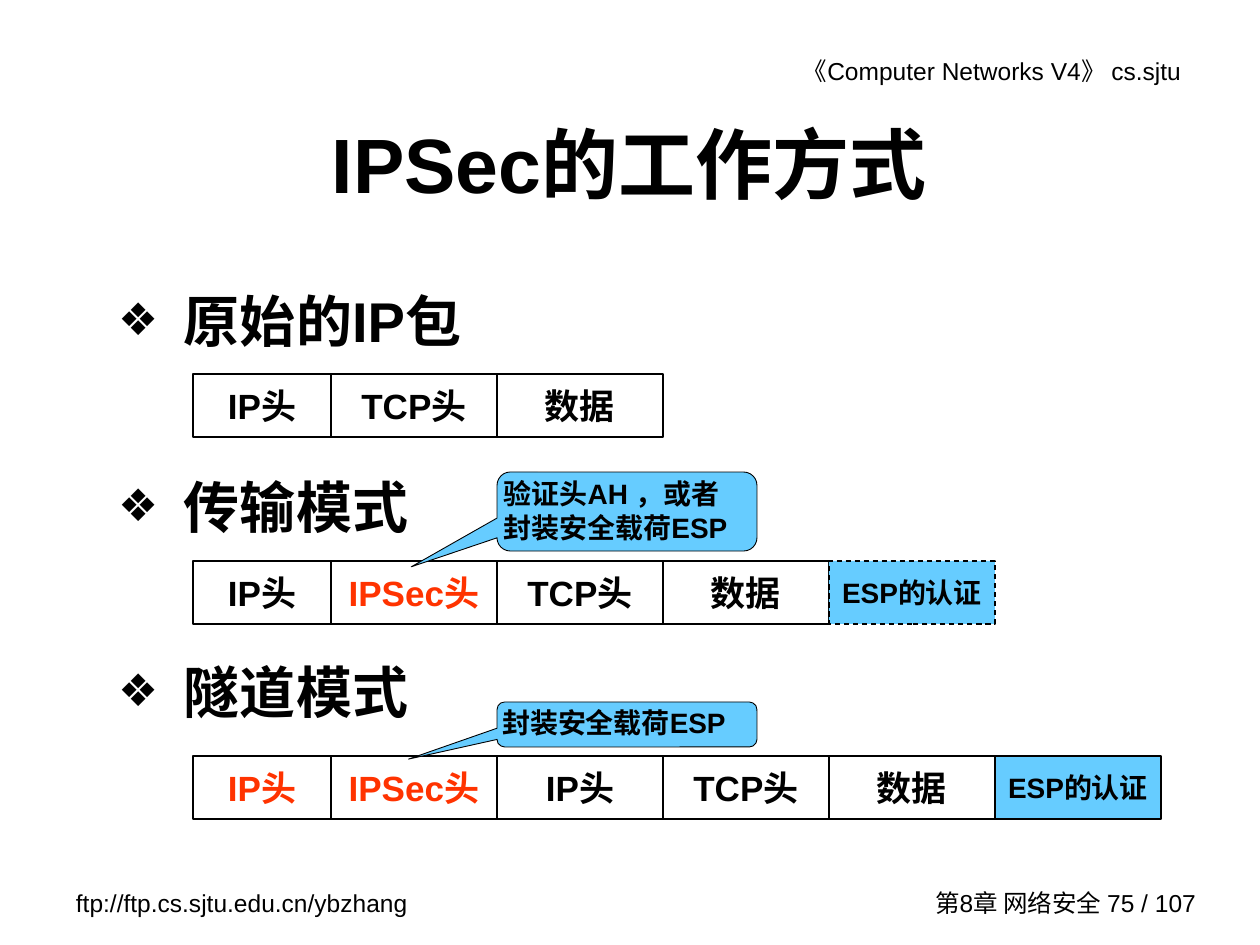
"""Build the slide on the working modes of IPSec."""
from pptx import Presentation
from pptx.dml.color import RGBColor
from pptx.enum.dml import MSO_LINE
from pptx.enum.shapes import MSO_SHAPE
from pptx.enum.text import MSO_ANCHOR, MSO_AUTO_SIZE, PP_ALIGN
from pptx.oxml import parse_xml
from pptx.oxml.ns import nsdecls
from pptx.util import Pt

SCALE = 914400 / 126
RECT, CALL = MSO_SHAPE.RECTANGLE, MSO_SHAPE.ROUNDED_RECTANGULAR_CALLOUT
DASH = MSO_LINE.DASH
TOP, MID = MSO_ANCHOR.TOP, MSO_ANCHOR.MIDDLE
LEFT, MIDST, RIGHT = PP_ALIGN.LEFT, PP_ALIGN.CENTER, PP_ALIGN.RIGHT
NONE = MSO_AUTO_SIZE.NONE
HUES = {"ink": "000000", "red": "FF3300", "sky": "66CCFF"}
EDGES = (193, 331, 497, 663, 829, 995, 1161)
HIGH = 63
ESP = "ESP的认证"
ROWS = (
    (374, ("IP头", "TCP头", "数据"), (), None),
    (561, ("IP头", "IPSec头", "TCP头", "数据", ESP), (1,), DASH),
    (756, ("IP头", "IPSec头", "IP头", "TCP头", "数据", ESP), (0, 1), None),
)
CALLS = (
    ((497, 472, 260, 79), (-0.83, 0.7, 0.17), ("验证头AH ，或者", "封装安全载荷ESP")),
    ((497, 702, 260, 45), (-0.84, 0.77, 0.17), ("封装安全载荷ESP",)),
)
NOTES = (
    ((658, 50, 549, 43), "《Computer Networks V4》 cs.sjtu", RIGHT, TOP, 26),
    ((63, 882, 368, 43), "ftp://ftp.cs.sjtu.edu.cn/ybzhang", LEFT, TOP, 13),
    ((905, 882, 304, 42), "第8章 网络安全 75 / 107", RIGHT, MID, 13),
)
MODES = ("原始的IP包", "传输模式", "隧道模式")
BULLET = (
    '<a:buClr {0}><a:srgbClr val="{1}"/></a:buClr>',
    '<a:buSzPct {0} val="80000"/>',
    '<a:buChar {0} char="❖"/>',
)


def px(num):
    """Turn px into EMU."""
    return round(num * SCALE)


def put(item, vals):
    """Set each value on the item."""
    for name, val in vals.items():
        setattr(item, name, val)


def tint(name):
    """Give the colour of a name."""
    return RGBColor.from_string(HUES[name])


def place(shape, box):
    """Move and size a shape."""
    put(shape, dict(zip(("left", "top", "width", "height"), map(px, box))))


def write(shape, lines, size, bold=True, hue="ink", align=MIDST,
          anchor=MID, pads=(13, 6, 13, 6)):
    """Fill a shape with formatted lines of text."""
    frame = shape.text_frame
    names = ("margin_left", "margin_top", "margin_right", "margin_bottom")
    put(frame, dict(zip(names, map(px, pads))))
    put(frame, {"word_wrap": True, "auto_size": NONE,
                "vertical_anchor": anchor, "text": "\n".join(lines)})
    for para in frame.paragraphs:
        para.alignment = align
        for run in para.runs:
            put(run.font, {"name": "Arial", "size": Pt(size), "bold": bold})
            run.font.color.rgb = tint(hue)


def draw(slide, kind, box, fill=None, width=0.75, dash=None):
    """Add an outlined shape."""
    shape = slide.shapes.add_shape(kind, *map(px, box))
    shape.shadow.inherit = False
    if fill:
        shape.fill.solid()
        shape.fill.fore_color.rgb = tint(fill)
    else:
        shape.fill.background()
    shape.line.color.rgb = tint("ink")
    put(shape.line, {"width": Pt(width), "dash_style": dash})
    return shape


def packet(slide, top, cells, marks, dash):
    """Draw one packet as a row of cells."""
    for col, text in enumerate(cells):
        left, tail = EDGES[col], text == ESP
        shape = draw(slide, RECT, (left, top, EDGES[col + 1] - left, HIGH),
                     "sky" if tail else None, dash=dash if tail else None)
        side = 3 if tail else 13
        write(shape, [text], 16 if tail else 20,
              hue="red" if col in marks else "ink", pads=(side, 6, side, 6))


def callout(slide, box, bends, lines):
    """Draw a callout with its tip."""
    shape = draw(slide, CALL, box, "sky", 0.5)
    for num, bend in enumerate(bends):
        shape.adjustments[num] = bend
    write(shape, lines, 16, align=LEFT, anchor=TOP, pads=(3, 1, 3, 1))


def note(slide, box, text, align, anchor, side):
    """Add a line at the edge of the slide."""
    shape = slide.shapes.add_textbox(*map(px, box))
    write(shape, [text], 14, False, align=align, anchor=anchor,
          pads=(13, 6, side, 6))


def modes(shape):
    """Fill the body with the list of modes."""
    place(shape, (105, 267, 436, 504))
    write(shape, MODES, 32, align=LEFT, anchor=TOP)
    for num, para in enumerate(shape.text_frame.paragraphs):
        props = para._p.get_or_add_pPr()
        put(para, {"line_spacing": 1.2, "space_before": Pt(60 if num else 0)})
        props.set("marL", str(px(66)))
        props.set("indent", str(px(-66)))
        for form in BULLET:
            props.append(parse_xml(form.format(nsdecls("a"), HUES["ink"])))


def main():
    """Build and save the slide."""
    deck = Presentation()
    put(deck, {"slide_width": px(1260), "slide_height": px(945)})
    slide = deck.slides.add_slide(deck.slide_layouts[1])
    title, body = slide.placeholders
    for item in NOTES:
        note(slide, *item)
    place(title, (94, 84, 1071, 158))
    write(title, ["IPSec的工作方式"], 44)
    modes(body)
    for row in ROWS:
        packet(slide, *row)
    for item in CALLS:
        callout(slide, *item)
    deck.save("out.pptx")


if __name__ == "__main__":
    main()
